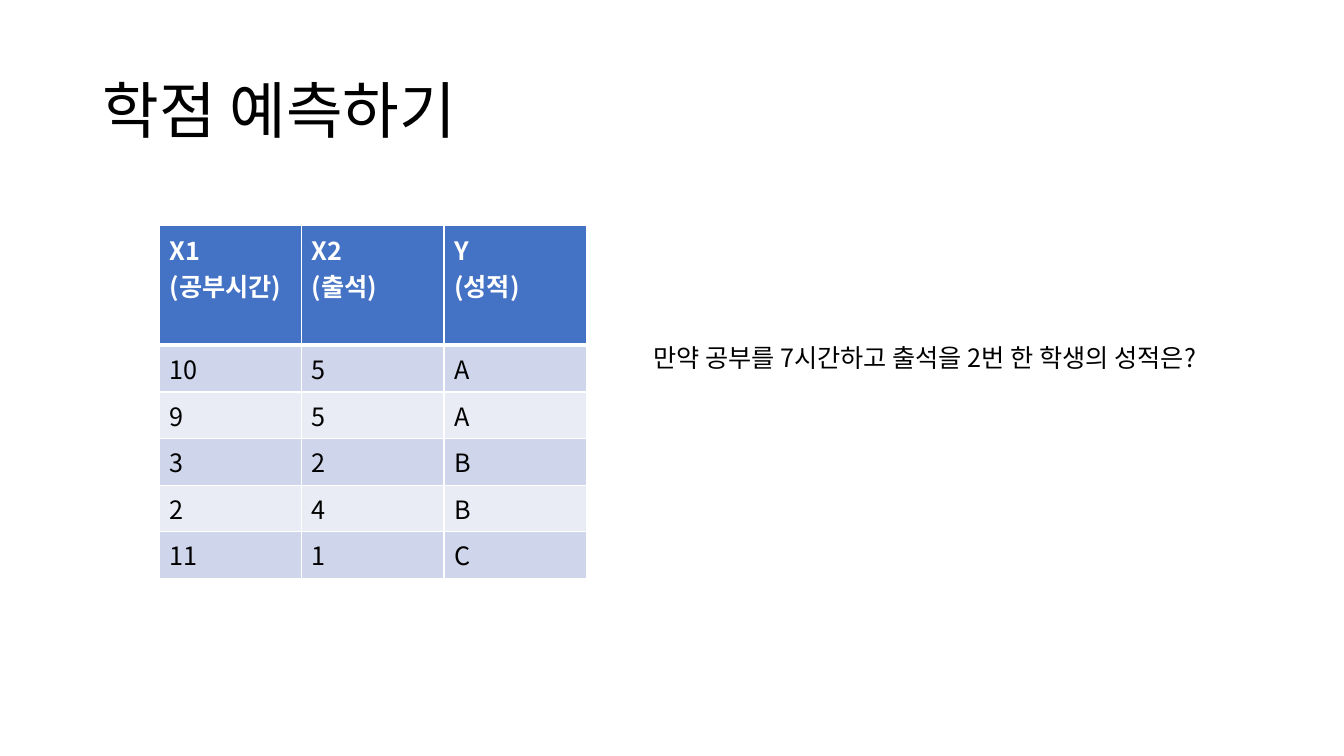
from lxml.etree import SubElement
from pptx import Presentation
from pptx.dml.color import RGBColor
from pptx.enum.text import MSO_ANCHOR, MSO_AUTO_SIZE, PP_ALIGN
from pptx.oxml.ns import qn
from pptx.util import Pt

FONT = "Noto Sans CJK KR"
BLACK, WHITE = "000000", "FFFFFF"
HEADER_FILL = "4472C4"
BAND_FILLS = ["CFD5EA", "E9EBF5"]

GRADES = [
    ["X1\n(공부시간)", "X2\n(출석)", "Y\n(성적)"],
    ["10", "5", "A"],
    ["9", "5", "A"],
    ["3", "2", "B"],
    ["2", "4", "B"],
    ["11", "1", "C"],
]


def color(hex_string):
    return RGBColor.from_string(hex_string)


def write_text(frame, text, size=18, fill=BLACK, bold=False, line_spacing=None):
    """Write one paragraph for each line of the text."""
    for index, line in enumerate(text.split("\n")):
        paragraph = frame.add_paragraph() if index else frame.paragraphs[0]
        paragraph.alignment = PP_ALIGN.LEFT
        paragraph.line_spacing = line_spacing
        run = paragraph.add_run()
        run.text = line
        run.font.size = Pt(size)
        run.font.bold = bold
        run.font.color.rgb = color(fill)
        run.font.name = FONT
        east_asian = SubElement(run._r.get_or_add_rPr(), qn("a:ea"))
        east_asian.set("typeface", FONT)


def add_border(cell, side, width):
    line = SubElement(cell._tc.get_or_add_tcPr(), qn(f"a:ln{side}"), w=str(Pt(width)))
    fill = SubElement(line, qn("a:solidFill"))
    SubElement(fill, qn("a:srgbClr"), val=WHITE)


class SlideBuilder:
    def __init__(self, presentation):
        self.slide = presentation.slides.add_slide(presentation.slide_layouts[5])

    def title(self, text, left, top, width, height):
        shape = self.slide.shapes.title
        shape.left, shape.top = Pt(left), Pt(top)
        shape.width, shape.height = Pt(width), Pt(height)
        frame = shape.text_frame
        frame.auto_size = MSO_AUTO_SIZE.NONE
        frame.vertical_anchor = MSO_ANCHOR.MIDDLE
        write_text(frame, text, size=44, line_spacing=0.9)

    def table(self, rows, left, top, column_width, row_height):
        row_count, column_count = len(rows), len(rows[0])
        table = self.slide.shapes.add_table(
            row_count, column_count, Pt(left), Pt(top),
            Pt(column_width * column_count), Pt(row_height * row_count)).table
        for column in table.columns:
            column.width = Pt(column_width)
        for row_index, values in enumerate(rows):
            table.rows[row_index].height = Pt(row_height)
            for column_index, text in enumerate(values):
                self.cell(table.cell(row_index, column_index), text, row_index)

    def cell(self, cell, text, row_index):
        is_header = row_index == 0
        # Borders: a thick line parts the header from the body
        widths = {"L": 1, "R": 1, "T": 3 if row_index == 1 else 1,
                  "B": 3 if is_header else 1}
        for side, width in widths.items():
            add_border(cell, side, width)
        # Banded fill and text
        cell.fill.solid()
        cell.fill.fore_color.rgb = color(
            HEADER_FILL if is_header else BAND_FILLS[(row_index - 1) % 2])
        write_text(cell.text_frame, text, fill=WHITE if is_header else BLACK,
                   bold=is_header)

    def text(self, text, left, top, width, height):
        frame = self.slide.shapes.add_textbox(
            Pt(left), Pt(top), Pt(width), Pt(height)).text_frame
        frame.word_wrap = False
        frame.auto_size = MSO_AUTO_SIZE.SHAPE_TO_FIT_TEXT
        write_text(frame, text)


def main():
    presentation = Presentation()
    presentation.slide_width, presentation.slide_height = Pt(960), Pt(540)
    builder = SlideBuilder(presentation)
    # Heading
    builder.title("학점 예측하기", 66, 28.75, 828, 104.4)
    # Study data
    builder.table(GRADES, 114, 161.3, column_width=101.6, row_height=30)
    # Question
    builder.text("만약 공부를 7시간하고 출석을 2번 한 학생의 성적은?",
                 459.4, 241.2, 451.4, 29)
    presentation.save("out.pptx")


if __name__ == "__main__":
    main()
